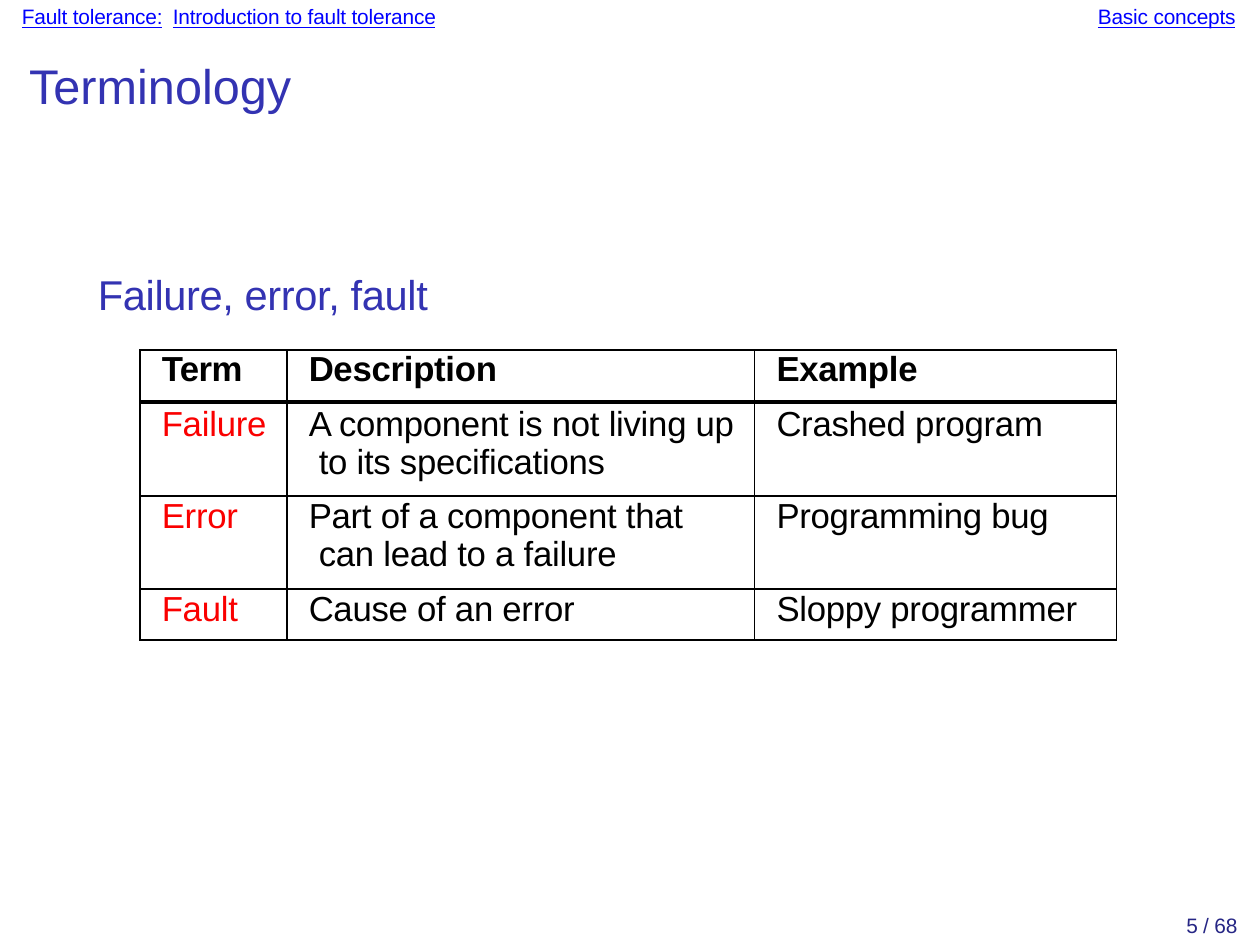
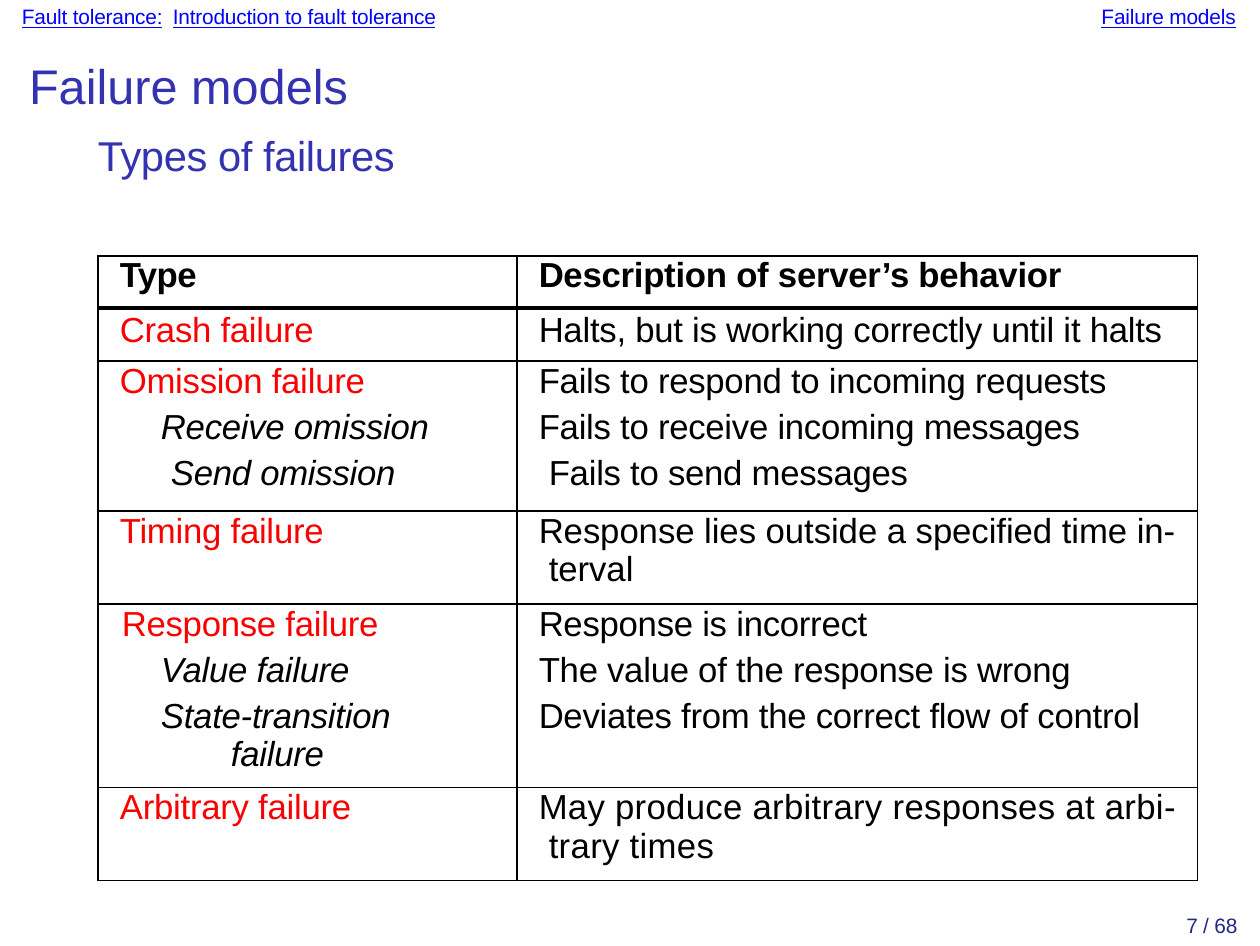
"""Two lecture slides with term tables on fault tolerance."""
from dataclasses import dataclass

from lxml import etree
from pptx import Presentation
from pptx.dml.color import RGBColor
from pptx.enum import text as enum_text
from pptx.oxml import ns
from pptx.util import Emu, Pt


@dataclass(frozen=True)
class Theme:
    font: str = "Arial"
    heading: str = "3333B2"
    link: str = "0000FF"
    number: str = "262685"
    ink: str = "000000"
    term: str = "FA0000"
    title_size: int = 14
    subtitle_size: int = 12
    table_size: int = 10
    small_size: int = 6
    thin: float = 0.5
    thick: float = 1.5


THEME = Theme()
PX = 914400 / 250
SLIDE_WIDTH, SLIDE_HEIGHT = Pt(363), Pt(272.5)
PAGE_TOTAL = 68
HEADER_LINKS = [(22, "Fault tolerance:"), (173, "Introduction to fault tolerance")]
INDENT, WRAP = 22, 10
CELL_TOPS = {0: 0, 1: 3}

HEAD = {"bold": True}
TERM = {"color": THEME.term}
SUBTERM = {"italic": True, "indent": 63}
SHIFTED = {"indent": INDENT + WRAP}

SLIDES = [
    {
        "title": "Terminology",
        "section": "Basic concepts",
        "page": 5,
        "subtitle": ("Failure, error, fault", 269),
        "origin": (140, 350),
        "columns": [147, 468, 362],
        "heights": [52, 94, 93, 51],
        "rows": [
            [[("Term", {**HEAD, "spacing": -0.15})], [("Description", HEAD)],
             [("Example", HEAD)]],
            [[("Failure", TERM)],
             [("A component is not living up to its specifications", {})],
             [("Crashed program", {})]],
            [[("Error", TERM)],
             [("Part of a component that can lead to a failure", {})],
             [("Programming bug", {})]],
            [[("Fault", TERM)], [("Cause of an error", {})], [("Sloppy programmer", {})]],
        ],
    },
    {
        "title": "Failure models",
        "section": "Failure models",
        "page": 7,
        "subtitle": ("Types of failures", 130),
        "origin": (98, 256),
        "columns": [419, 681],
        "heights": [52, 53, 150, 93, 184, 93],
        "rows": [
            [[("Type", {**HEAD, "spacing": -0.15})],
             [("Description of server’s behavior", HEAD)]],
            [[("Crash failure", TERM)],
             [("Halts, but is working correctly until it halts", {})]],
            [[("Omission failure", TERM), ("Receive omission", SUBTERM),
              ("Send omission", {**SUBTERM, "indent": 73})],
             [("Fails to respond to incoming requests", {}),
              ("Fails to receive incoming messages", {}),
              ("Fails to send messages", SHIFTED)]],
            [[("Timing failure", TERM)],
             [("Response lies outside a specified time in- terval", {"spacing": 0})]],
            [[("Response failure", {**TERM, "indent": 24}), ("Value failure", SUBTERM),
              ("State-transition", SUBTERM),
              ("failure", {**SUBTERM, "indent": 133, "before": 0})],
             [("Response is incorrect", {}),
              ("The value of the response is wrong", {}),
              ("Deviates from the correct flow of control", {})]],
            [[("Arbitrary failure", TERM)],
             [("May produce arbitrary responses at arbi- trary times", {"spacing": 0.1})]],
        ],
    },
]


def px(length):
    """Turn px into EMU."""
    return Emu(round(length * PX))


def write(paragraph, content, size, color=THEME.ink, bold=False, italic=False,
          underline=False, spacing=-0.05, align="LEFT", indent=0, wrap=0, before=0):
    """Write one formatted run into a paragraph."""
    paragraph.alignment = enum_text.PP_ALIGN[align]
    properties = paragraph._p.get_or_add_pPr()
    properties.set("marL", str(px(indent + wrap)))
    properties.set("indent", str(px(-wrap)))
    paragraph.space_before = Pt(before)
    run = paragraph.add_run()
    run.text = content
    font = run.font
    font.name, font.size = THEME.font, Pt(size)
    font.bold, font.italic, font.underline = bold, italic, underline
    font.color.rgb = RGBColor.from_string(color)
    run._r.get_or_add_rPr().set("spc", str(round(spacing * 100)))


def fill_box(shape, box, content, **style):
    """Place a text shape without insets and write its line."""
    shape.left, shape.top, shape.width, shape.height = map(px, box)
    frame = shape.text_frame
    frame.word_wrap = True
    frame.auto_size = enum_text.MSO_AUTO_SIZE.NONE
    frame.vertical_anchor = enum_text.MSO_ANCHOR.TOP
    frame.margin_left = frame.margin_top = frame.margin_right = frame.margin_bottom = 0
    write(frame.paragraphs[0], content, **style)


def add_text(slide, box, content, **style):
    """Add a text box with one line."""
    fill_box(slide.shapes.add_textbox(0, 0, 0, 0), box, content, **style)


def set_borders(cell, top, bottom):
    """Draw the four cell borders with the given top and bottom widths."""
    properties = cell._tc.get_or_add_tcPr()
    widths = {"lnL": THEME.thin, "lnR": THEME.thin, "lnT": top, "lnB": bottom}
    for side, width in widths.items():
        line = etree.SubElement(properties, ns.qn(f"a:{side}"), w=str(Pt(width)))
        fill = etree.SubElement(line, ns.qn("a:solidFill"))
        etree.SubElement(fill, ns.qn("a:srgbClr"), val=THEME.ink)


def add_term_table(slide, origin, columns, heights, rows):
    """Add a ruled table with a thick line under its head."""
    box = (*origin, sum(columns), sum(heights))
    table = slide.shapes.add_table(len(rows), len(columns), *map(px, box)).table
    table.first_row = table.horz_banding = False
    for column, width in zip(table.columns, columns):
        column.width = px(width)
    for row_index, (row, height, contents) in enumerate(zip(table.rows, heights, rows)):
        row.height = px(height)
        for cell, lines in zip(row.cells, contents):
            cell.margin_left = cell.margin_bottom = 0
            cell.margin_right = px(15)
            cell.margin_top = px(CELL_TOPS.get(row_index, 1))
            set_borders(cell, THEME.thick if row_index == 1 else THEME.thin,
                        THEME.thick if row_index == 0 else THEME.thin)
            cell.fill.background()
            frame = cell.text_frame
            for line_index, (content, style) in enumerate(lines):
                paragraph = frame.add_paragraph() if line_index else frame.paragraphs[0]
                defaults = {"size": THEME.table_size, "indent": INDENT, "wrap": WRAP,
                            "before": 2.1 if line_index else 0}
                write(paragraph, content, **{**defaults, **style})


def add_slide(presentation, content):
    """Add a slide with its header, titles, table and page number."""
    slide = presentation.slides.add_slide(presentation.slide_layouts[5])
    fill_box(slide.shapes.title, (29, 56, 1000, 60), content["title"],
             size=THEME.title_size, color=THEME.heading, spacing=0)
    link = {"size": THEME.small_size, "color": THEME.link, "underline": True}
    for left, label in HEADER_LINKS:
        add_text(slide, (left, 4, 400, 26), label, **link)
    add_text(slide, (836, 4, 400, 26), content["section"], align="RIGHT", **link)
    subtitle, top = content["subtitle"]
    add_text(slide, (98, top, 800, 50), subtitle,
             size=THEME.subtitle_size, color=THEME.heading, spacing=-0.1)
    add_term_table(slide, content["origin"], content["columns"],
                   content["heights"], content["rows"])
    add_text(slide, (1038, 913, 200, 26), f"{content['page']} / {PAGE_TOTAL}",
             size=THEME.small_size, color=THEME.number, align="RIGHT")


def main():
    """Build and save the presentation."""
    presentation = Presentation()
    presentation.slide_width = SLIDE_WIDTH
    presentation.slide_height = SLIDE_HEIGHT
    for content in SLIDES:
        add_slide(presentation, content)
    presentation.save("out.pptx")


if __name__ == "__main__":
    main()
